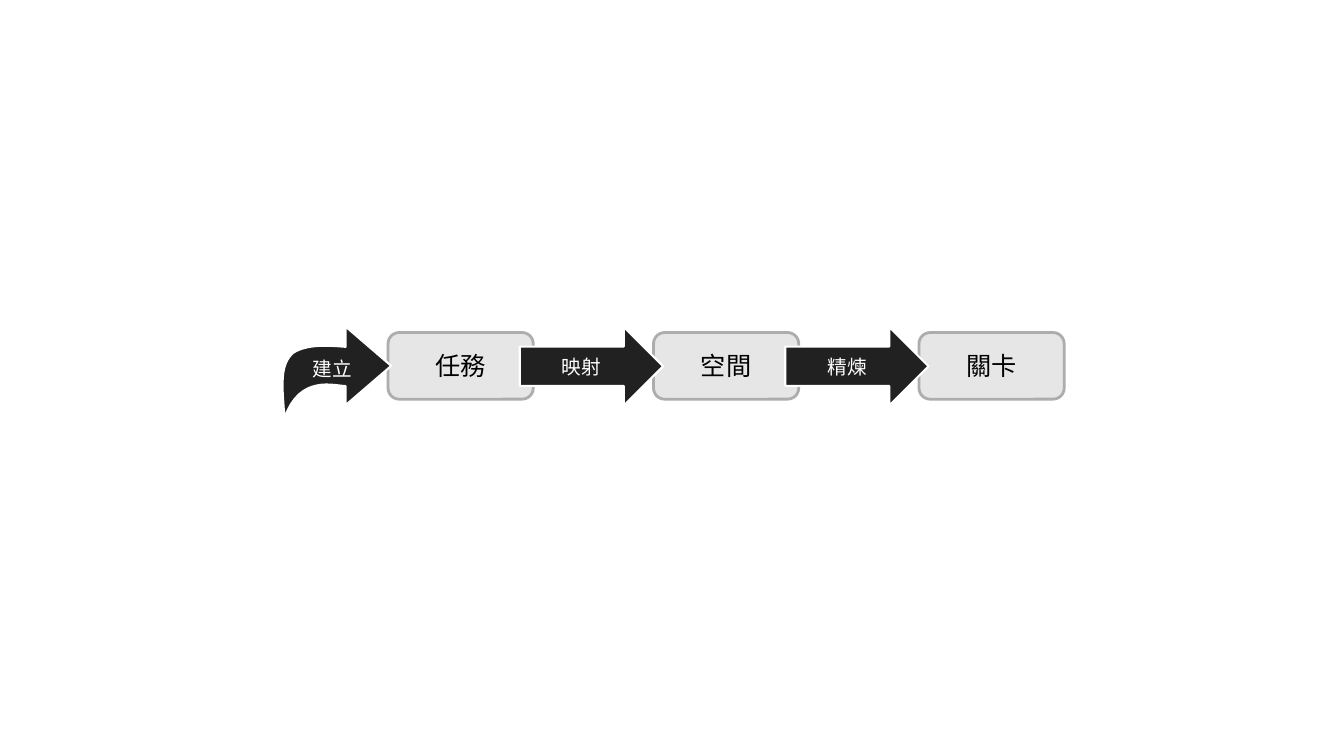
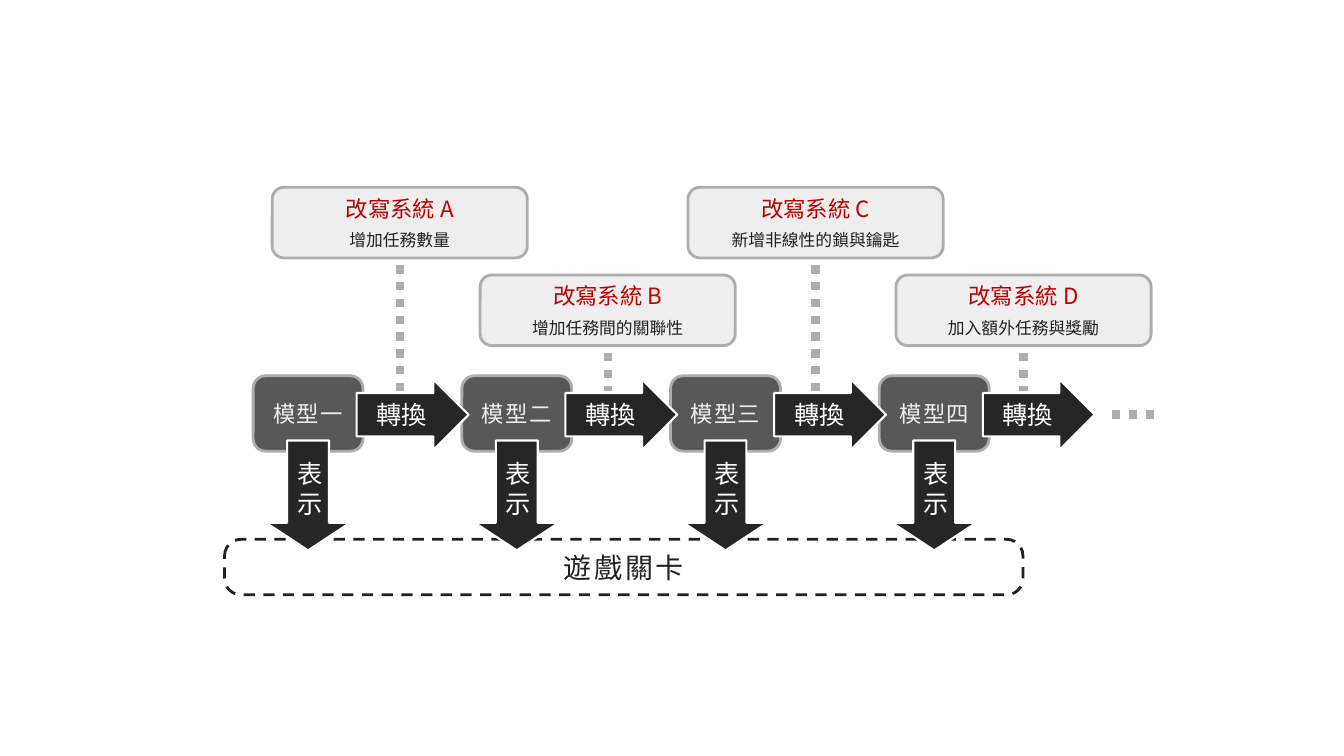
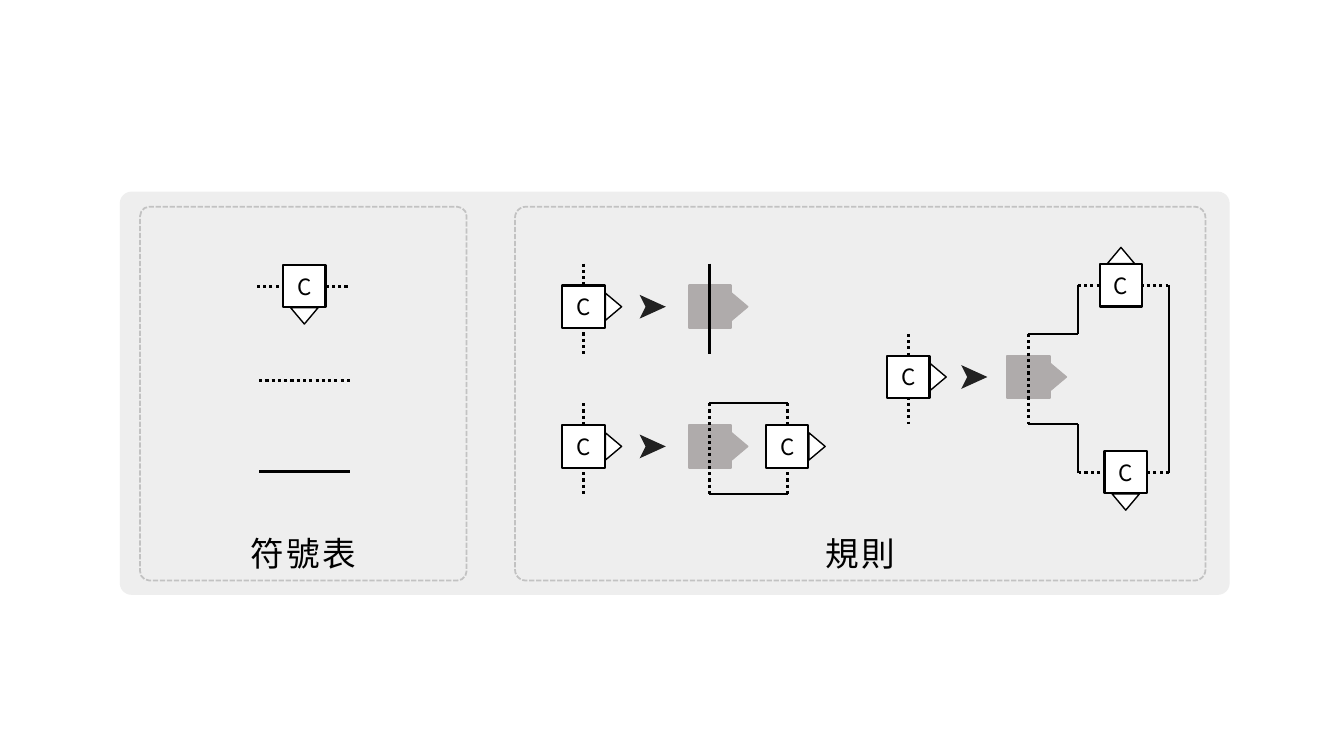
from dataclasses import dataclass
from itertools import pairwise

from lxml import etree
from pptx import Presentation
from pptx.dml.color import RGBColor
from pptx.enum import dml, shapes, text
from pptx.oxml.ns import qn
from pptx.util import Cm, Pt

KIND = shapes.MSO_SHAPE
DASH = dml.MSO_LINE


@dataclass(frozen=True)
class Theme:
    font: str = "Noto Sans CJK SC"
    white: str = "FFFFFF"
    black: str = "000000"
    ink: str = "212121"
    arrow: str = "262626"
    model: str = "585858"
    edge: str = "ADADAD"
    ghost: str = "AFABAB"
    frame: str = "808080"
    pale: str = "EEEEEE"
    box: str = "E7E6E6"
    red: str = "C00000"
    small: int = 12
    note: int = 14
    body: int = 16
    large: int = 18
    band: int = 20
    head: int = 24


T = Theme()


def paint(shape, fill=None, line=None, width=1.5, dash=None):
    shape.shadow.inherit = False
    if fill:
        shape.fill.solid()
        shape.fill.fore_color.rgb = RGBColor.from_string(fill)
    else:
        shape.fill.background()
    if line:
        shape.line.color.rgb = RGBColor.from_string(line)
        shape.line.width = Pt(width)
        if dash:
            shape.line.dash_style = dash
    else:
        shape.line.fill.background()


def write(shape, *rows, wrap=True):
    """Fill a shape with centred rows of (words, size, colour, letter spacing)."""
    frame = shape.text_frame
    frame.word_wrap = wrap
    frame.vertical_anchor = text.MSO_ANCHOR.MIDDLE
    for i, (words, size, color, gap) in enumerate(rows):
        para = frame.add_paragraph() if i else frame.paragraphs[0]
        para.text = words
        para.alignment = text.PP_ALIGN.CENTER
        font = para.font
        font.size = Pt(size)
        font.name = T.font
        font.color.rgb = RGBColor.from_string(color)
        props = para._p.pPr.find(qn("a:defRPr"))
        etree.SubElement(props, qn("a:ea")).set("typeface", T.font)
        if gap:
            props.set("spc", str(gap * 100))


def place(slide, kind, x, y, w, h, adj=(), **look):
    shape = slide.shapes.add_shape(kind, Cm(x), Cm(y), Cm(w), Cm(h))
    for i, value in enumerate(adj):
        shape.adjustments[i] = value
    paint(shape, **look)
    return shape


def label(slide, x, y, w, h, row, wrap=True):
    write(slide.shapes.add_textbox(Cm(x), Cm(y), Cm(w), Cm(h)), row, wrap=wrap)


def rule(slide, start, end, color=T.black, width=2.25, dash=None):
    ends = [Cm(v) for v in (*start, *end)]
    line = slide.shapes.add_connector(shapes.MSO_CONNECTOR.STRAIGHT, *ends)
    line.line.color.rgb = RGBColor.from_string(color)
    line.line.width = Pt(width)
    if dash:
        line.line.dash_style = dash
    etree.SubElement(line._element.spPr, qn("a:effectLst"))


def trace(slide, *points):
    for start, end in pairwise(points):
        rule(slide, start, end, width=1.5)


def outline(slide, x, y, points, **look):
    """Draw a closed outline whose points are relative to (x, y)."""
    spots = [(Cm(x + px), Cm(y + py)) for px, py in points]
    pen = slide.shapes.build_freeform(*spots[0])
    pen.add_line_segments(spots[1:], close=True)
    paint(pen.convert_to_shape(), **look)


def curve(a, b, c, d, steps=16):
    """Points along a cubic curve from a to d."""
    spots = []
    for i in range(steps + 1):
        t = i / steps
        parts = ((1 - t) ** 3, 3 * t * (1 - t) ** 2, 3 * t * t * (1 - t), t ** 3)
        spots.append(tuple(sum(k * p[n] for k, p in zip(parts, (a, b, c, d)))
                           for n in (0, 1)))
    return spots


def bend(slide, x, y):
    """Curved entry arrow with its caption."""
    points = [
        *curve((0.25, 0.66), (0.61, 0.43), (1.17, 0.48), (1.57, 0.51)),
        (1.57, 0), (2.72, 0.99), (1.57, 1.98),
        *curve((1.57, 1.5), (1.3, 1.5), (0.41, 1.19), (0.03, 2.31)),
        *curve((0.03, 2.31), (-0.03, 1.5), (-0.1, 0.97), (0.25, 0.66))[1:-1],
    ]
    outline(slide, x, y, points, fill=T.ink, line=T.white)
    label(slide, x + 0.48, y + 0.63, 1.5, 0.86,
          ("建立", T.note, T.white, 0), wrap=False)


def flow(slide, x, y):
    step = 6.69
    for i, words in enumerate(("任務", "空間", "關卡")):
        box = place(slide, KIND.ROUNDED_RECTANGLE, x + i * step, y, 3.66, 1.68,
                    fill=T.box, line=T.edge, width=2)
        write(box, (words, T.large, T.black, 0))
    for i, words in enumerate(("映射", "精煉")):
        arrow = place(slide, KIND.RIGHT_ARROW, x + 3.32 + i * step, y - 0.14,
                      3.61, 1.98, fill=T.ink, line=T.white)
        write(arrow, (words, T.note, T.white, 0))
    bend(slide, x - 2.64, y - 0.15)


def card(slide, x, y, name, words, foot):
    """Rewrite system box with a dotted stem down to foot."""
    w, h = 6.43, 1.78
    box = place(slide, KIND.ROUNDED_RECTANGLE, x, y, w, h,
                fill=T.pale, line=T.edge, width=2)
    write(box, (f"改寫系統 {name}", T.body, T.red, 0), (words, T.small, T.ink, 0))
    box.text_frame.paragraphs[0].space_after = Pt(6)
    mid = x + w / 2
    rule(slide, (mid, y + h + 0.18), (mid, foot), T.edge, 6, DASH.ROUND_DOT)


def models(slide, x, y):
    step = 5.26
    lefts = [x + i * step for i in range(4)]
    for left, digit in zip(lefts, "一二三四"):
        box = place(slide, KIND.ROUNDED_RECTANGLE, left, y, 2.77, 1.9,
                    fill=T.model, line=T.edge, width=2)
        write(box, (f"模型{digit}", T.body, T.pale, 1))
    level = place(slide, KIND.ROUNDED_RECTANGLE, x - 0.72, y + 4.12, 20.12, 1.4,
                  adj=[0.295], line=T.ink, width=2, dash=DASH.DASH)
    write(level, ("遊戲關卡", T.band, T.ink, 2))
    for left in lefts:
        down = place(slide, KIND.DOWN_ARROW, left + 0.33, y + 1.63, 2.11, 2.77,
                     adj=[0.5, 0.329], fill=T.arrow, line=T.white)
        write(down, ("表示", T.large, T.white, 0))
        right = place(slide, KIND.RIGHT_ARROW, left + 2.61, y + 0.09, 2.82, 1.78,
                      adj=[0.614, 0.5], fill=T.arrow, line=T.white)
        write(right, ("轉換", T.large, T.white, 0))
    rule(slide, (x + 22.7, y + 0.97), (x + 21.56, y + 0.97), T.edge, 6,
         DASH.ROUND_DOT)


def panel(slide, x, y, w, h, words):
    frame = place(slide, KIND.ROUNDED_RECTANGLE, x, y, w, h, adj=[0.029],
                  line=T.frame, width=1.25, dash=DASH.SQUARE_DOT)
    color = next(frame._element.spPr.find(qn("a:ln")).iter(qn("a:srgbClr")))
    etree.SubElement(color, qn("a:alpha")).set("val", "40000")
    label(slide, x, y + 8.1, w, 1.27, (words, T.head, T.black, 2))


TURN = {"up": (0, -1, 0), "right": (1, 0, 90), "down": (0, 1, 180)}


def node(slide, x, y, way="right", ghost=False, dash=DASH.ROUND_DOT):
    """Square centred on (x, y), with a pointer and a line across it."""
    dx, dy, angle = TURN[way]
    side, reach, shift = 1.07, 1.14, 0.05
    ends = [(x - dy * k, y + dx * k) for k in (shift - reach, shift + reach)]
    fill, line = (T.ghost, T.ghost) if ghost else (T.white, T.black)
    if not ghost:
        rule(slide, *ends, dash=dash)
    tip = place(slide, KIND.ISOSCELES_TRIANGLE, x + dx * 0.75 - 0.345,
                y + dy * 0.75 - 0.205, 0.69, 0.41, fill=fill, line=line, width=1)
    tip.rotation = angle
    box = place(slide, KIND.RECTANGLE, x - side / 2, y - side / 2, side, side,
                fill=fill, line=line)
    if ghost:
        rule(slide, *ends, dash=dash)
    else:
        write(box, ("C", T.body, T.black, 0))


def change(slide, x, y, gap, dash=DASH.ROUND_DOT):
    """A node, a dart and the greyed node that replaces it."""
    node(slide, x, y)
    outline(slide, x + gap / 2 - 0.18, y - 0.3,
            [(0, 0), (0.66, 0.3), (0, 0.6), (0.15, 0.3)], fill=T.ink)
    node(slide, x + gap, y, ghost=True, dash=dash)


def symbols(slide, x, y):
    panel(slide, x, y, 8.23, 9.42, "符號表")
    mid = x + 4.14
    node(slide, mid, y + 2, "down")
    for drop, dash in ((4.37, DASH.ROUND_DOT), (6.68, None)):
        rule(slide, (mid - 1.14, y + drop), (mid + 1.14, y + drop), dash=dash)


def rules(slide, x, y):
    panel(slide, x, y, 17.4, 9.42, "規則")
    left, top, low = x + 1.73, y + 2.52, y + 6.04
    change(slide, left, top, 3.18, dash=None)

    change(slide, left, low, 3.18)
    node(slide, left + 5.13, low)
    for edge in (low - 1.09, low + 1.19):
        trace(slide, (left + 3.16, edge), (left + 5.15, edge))

    start, mid = x + 9.91, y + 4.29
    change(slide, start, mid, 3.03)
    node(slide, x + 15.27, y + 1.98, "up")
    node(slide, x + 15.39, y + 6.69, "down")
    near, inner, outer = start + 3.01, x + 14.18, x + 16.48
    trace(slide, (near, mid - 1.08), (inner, mid - 1.08), (inner, y + 1.96))
    trace(slide, (outer, y + 1.96), (outer, y + 6.72))
    trace(slide, (inner, y + 6.72), (inner, mid + 1.19), (near, mid + 1.19))


def main():
    deck = Presentation()
    deck.slide_width, deck.slide_height = Cm(33.87), Cm(19.05)
    first, second, third = (deck.slides.add_slide(deck.slide_layouts[6])
                            for _ in range(3))

    flow(first, 9.78, 8.38)

    systems = ("增加任務數量", "增加任務間的關聯性",
               "新增非線性的鎖與鑰匙", "加入額外任務與獎勵")
    for i, (name, words) in enumerate(zip("ABCD", systems)):
        card(second, 6.86 + i * 5.24, 4.72 + i % 2 * 2.21, name, words, 9.86)
    models(second, 6.38, 9.47)

    place(third, KIND.ROUNDED_RECTANGLE, 3.02, 4.83, 27.97, 10.16,
          adj=[0.029], fill=T.pale)
    symbols(third, 3.53, 5.21)
    rules(third, 12.98, 5.21)

    deck.save("out.pptx")


if __name__ == "__main__":
    main()
